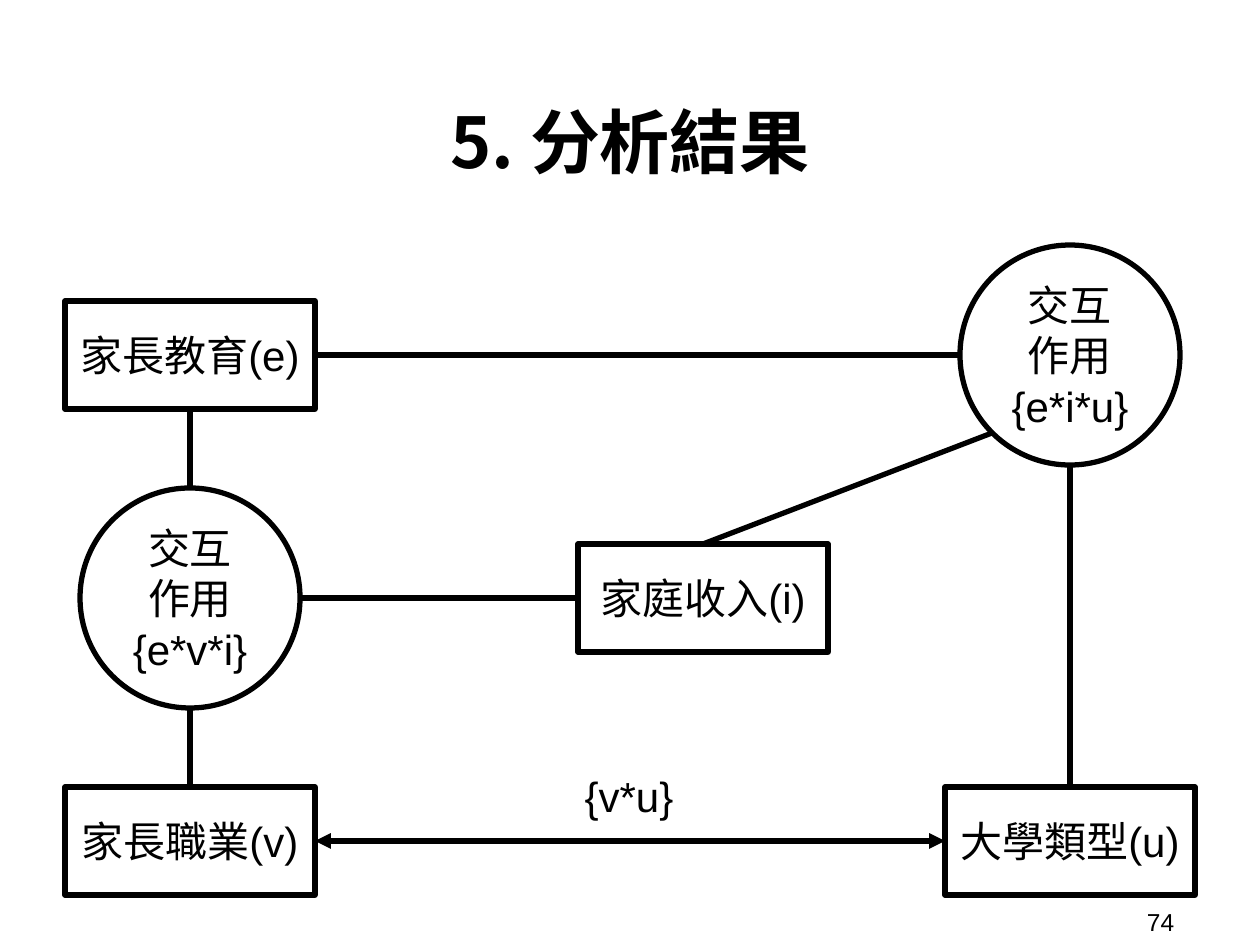
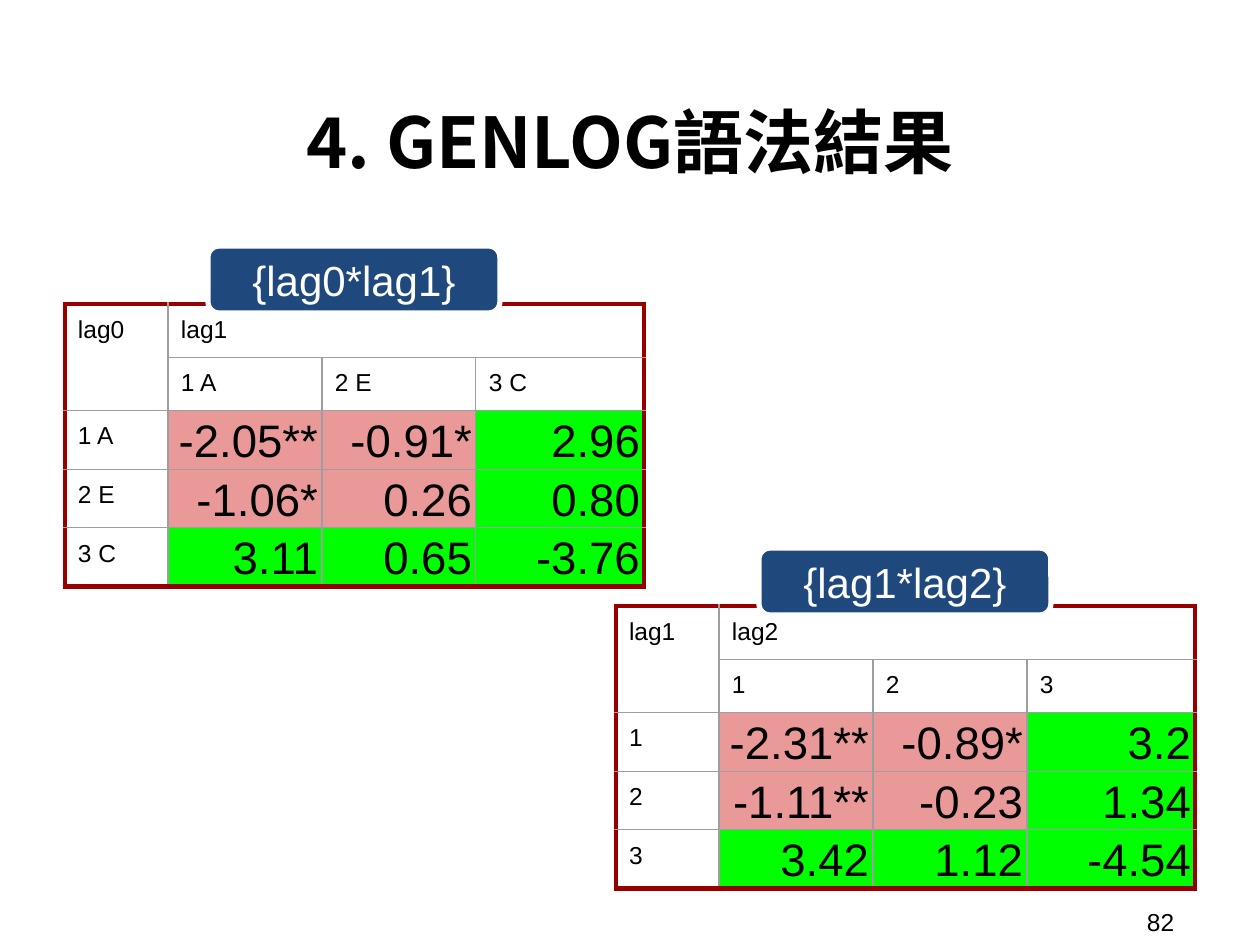
from dataclasses import dataclass

from lxml.etree import SubElement
from pptx import Presentation
from pptx.dml.color import RGBColor
from pptx.enum.shapes import MSO_CONNECTOR, MSO_SHAPE
from pptx.enum.text import MSO_ANCHOR, PP_ALIGN
from pptx.oxml import parse_xml
from pptx.oxml.ns import nsdecls, qn
from pptx.util import Emu, Pt

PX = 914400 / 126
TOP, LEFT, BOTTOM, RIGHT = range(4)


@dataclass(frozen=True)
class Theme:
    ink: str = "000000"
    paper: str = "FFFFFF"
    label: str = "1F497D"
    frame: str = "980000"
    grid: str = "9E9E9E"
    negative: str = "EA9999"
    positive: str = "00FF00"
    latin: str = "Arial"
    cjk: str = "Noto Sans CJK TC"
    title_size: int = 40
    value_size: int = 26
    body_size: int = 24
    small_size: int = 14
    line: float = 3
    grid_line: float = 0.75
    inset: int = 13


def emu(px):
    return Emu(round(px * PX))


def rgb(color):
    return RGBColor.from_string(color)


def write(tf, text, *, size, color, font, cjk, bold=False, align=PP_ALIGN.CENTER):
    """Fill a text frame, one paragraph for each line of text."""
    for i, line in enumerate(text.split("\n")):
        p = tf.add_paragraph() if i else tf.paragraphs[0]
        p.alignment = align
        r = p.add_run()
        r.text = line
        r.font.size = Pt(size)
        r.font.bold = bold
        r.font.color.rgb = rgb(color)
        r.font.name = font
        SubElement(r.font._element, qn("a:ea"), typeface=cjk)


def set_border(cell, sides):
    """Set edges from a dict of side letter to (colour, points)."""
    tc_pr = cell._tc.get_or_add_tcPr()
    for i, (side, (color, width)) in enumerate(sides.items()):
        tc_pr.insert(i, parse_xml(
            f'<a:ln{side} {nsdecls("a")} w="{Pt(width)}"><a:solidFill>'
            f'<a:srgbClr val="{color}"/></a:solidFill></a:ln{side}>'))


class Deck:
    def __init__(self, theme):
        self.theme = theme
        self.prs = Presentation()
        self.prs.slide_width, self.prs.slide_height = emu(1260), emu(945)
        self.s = None

    def slide(self, title, number):
        t = self.theme
        self.s = self.prs.slides.add_slide(self.prs.slide_layouts[6])
        self.text(title, 65, 24, 1130, 171, anchor=MSO_ANCHOR.BOTTOM,
                  size=t.title_size, font=t.cjk, bold=True)
        self.text(str(number), 1134, 903, 116, 37, inset_y=6,
                  size=t.small_size, align=PP_ALIGN.LEFT)

    def format_text(self, tf, text, *, anchor=MSO_ANCHOR.MIDDLE, inset_y=None, **fmt):
        t = self.theme
        tf.word_wrap = True
        tf.vertical_anchor = anchor
        tf.margin_left = tf.margin_right = emu(t.inset)
        tf.margin_top = tf.margin_bottom = emu(t.inset if inset_y is None else inset_y)
        write(tf, text, **{"size": t.body_size, "color": t.ink,
                           "font": t.latin, "cjk": t.cjk, **fmt})

    def text(self, text, x, y, w, h, **fmt):
        sp = self.s.shapes.add_textbox(emu(x), emu(y), emu(w), emu(h))
        self.format_text(sp.text_frame, text, **fmt)

    def shape(self, kind, text, x, y, w, h, *, fill=None, line=None, **fmt):
        t = self.theme
        sp = self.s.shapes.add_shape(kind, emu(x), emu(y), emu(w), emu(h))
        sp.shadow.inherit = False
        sp.fill.solid()
        sp.fill.fore_color.rgb = rgb(fill or t.paper)
        sp.line.color.rgb = rgb(line or t.ink)
        sp.line.width = Pt(t.line)
        self.format_text(sp.text_frame, text, **fmt)
        return sp

    def connector(self, box, side, *, point=None, to=None, arrows=False):
        """Run from a side of a box to a free (x, y) point or to another (box, side)."""
        end = [emu(v) for v in point or (0, 0)]
        cx = self.s.shapes.add_connector(MSO_CONNECTOR.STRAIGHT, 0, 0, *end)
        cx.begin_connect(box, side)
        if to:
            cx.end_connect(*to)
        cx.line.color.rgb = rgb(self.theme.ink)
        cx.line.width = Pt(self.theme.line)
        if arrows:
            ln = cx.line._get_or_add_ln()
            for tag in ("a:headEnd", "a:tailEnd"):
                SubElement(ln, qn(tag), type="triangle")
        SubElement(cx._element.spPr, qn("a:effectLst"))

    def table(self, x, y, widths, heights, rows):
        """Draw a cross table: two header rows, one label column, then the values."""
        t = self.theme
        frame = self.s.shapes.add_table(len(heights), len(widths), emu(x), emu(y),
                                        emu(sum(widths)), emu(sum(heights)))
        tbl = frame.table
        tbl.first_row = tbl.horz_banding = False
        for col, w in zip(tbl.columns, widths):
            col.width = emu(w)
        for row, h in zip(tbl.rows, heights):
            row.height = emu(h)
        tbl.cell(0, 0).merge(tbl.cell(1, 0))
        tbl.cell(0, 1).merge(tbl.cell(0, len(widths) - 1))
        for i, row in enumerate(rows):
            for j, text in enumerate(row):
                cell = tbl.cell(i, j)
                if not cell.is_spanned:
                    self.table_cell(cell, text, i, j, len(rows) - 1, len(row) - 1)

    def table_cell(self, cell, text, i, j, last_row, last_col):
        t = self.theme
        is_value = i > 1 and j > 0
        fill = t.paper
        if is_value:
            fill = t.positive if i == last_row or j == last_col else t.negative
        cell.fill.solid()
        cell.fill.fore_color.rgb = rgb(fill)
        outer = {"L": j == 0, "R": j == last_col or (i == 0 and j == 1),
                 "T": i == 0, "B": i == last_row}
        set_border(cell, {side: (t.frame, t.line) if edge else (t.grid, t.grid_line)
                          for side, edge in outer.items()})
        cell.margin_left = cell.margin_right = emu(4 if is_value else t.inset)
        cell.margin_top = cell.margin_bottom = emu(2 if is_value else 12)
        cell.vertical_anchor = MSO_ANCHOR.BOTTOM if is_value else MSO_ANCHOR.TOP
        write(cell.text_frame, text, color=t.ink, font=t.latin, cjk=t.cjk,
              size=t.value_size if is_value else t.small_size,
              align=PP_ALIGN.RIGHT if is_value else PP_ALIGN.LEFT)


def path_model(deck):
    deck.slide("5. 分析結果", 74)
    box_w, box_h, circle = 250, 108, 220
    left, middle, right = 65, 578, 945
    first, step = 301, 243
    rows = [first + step * i for i in range(3)]

    def variable(text, x, y):
        return deck.shape(MSO_SHAPE.RECTANGLE, text, x, y, box_w, box_h)

    def interaction(term, x, y):
        """Draw a circle centred on the box place at x, y and return its centre."""
        cx, cy = x + box_w // 2, y + box_h // 2
        deck.shape(MSO_SHAPE.OVAL, "交互\n作用\n" + term,
                   cx - circle // 2, cy - circle // 2, circle, circle)
        return cx, cy

    education = variable("家長教育(e)", left, rows[0])
    income = variable("家庭收入(i)", middle, rows[1])
    university = variable("大學類型(u)", right, rows[2])
    occupation = variable("家長職業(v)", left, rows[2])
    evi_x, evi_y = interaction("{e*v*i}", left, rows[1])
    eiu_x, eiu_y = interaction("{e*i*u}", right, rows[0])

    radius = circle // 2
    diagonal = round(radius * 0.71)
    for box, side, point in (
        (education, BOTTOM, (evi_x, evi_y - radius)),
        (occupation, TOP, (evi_x, evi_y + radius)),
        (university, TOP, (eiu_x, eiu_y + radius)),
        (education, RIGHT, (eiu_x - radius, eiu_y)),
        (income, LEFT, (evi_x + radius, evi_y)),
        (income, TOP, (eiu_x - diagonal, eiu_y + diagonal)),
    ):
        deck.connector(box, side, point=point)
    deck.connector(university, LEFT, to=(occupation, RIGHT), arrows=True)
    deck.text("{v*u}", 535, 751, 188, 90)


def lag_tables(deck):
    t = deck.theme
    deck.slide("4. GENLOG語法結果", 82)
    tables = (
        (65, 304, "lag0", "lag1", ("1 A", "2 E", "3 C"),
         (("-2.05**", "-0.91*", "2.96"),
          ("-1.06*", "0.26", "0.80"),
          ("3.11", "0.65", "-3.76"))),
        (616, 606, "lag1", "lag2", ("1", "2", "3"),
         (("-2.31**", "-0.89*", "3.2"),
          ("-1.11**", "-0.23", "1.34"),
          ("3.42", "1.12", "-4.54"))),
    )
    for x, y, given, target, codes, values in tables:
        rows = [(given, target, "", ""), ("", *codes)]
        rows += [(code, *line) for code, line in zip(codes, values)]
        deck.table(x, y, (103, 154, 154, 168), (53, 52, 56, 56, 56), rows)
        deck.shape(MSO_SHAPE.ROUNDED_RECTANGLE, f"{{{given}*{target}}}",
                   x + 143, y - 58, 292, 67,
                   fill=t.label, line=t.paper, color=t.paper)


def main():
    deck = Deck(Theme())
    path_model(deck)
    lag_tables(deck)
    deck.prs.save("out.pptx")


if __name__ == "__main__":
    main()
